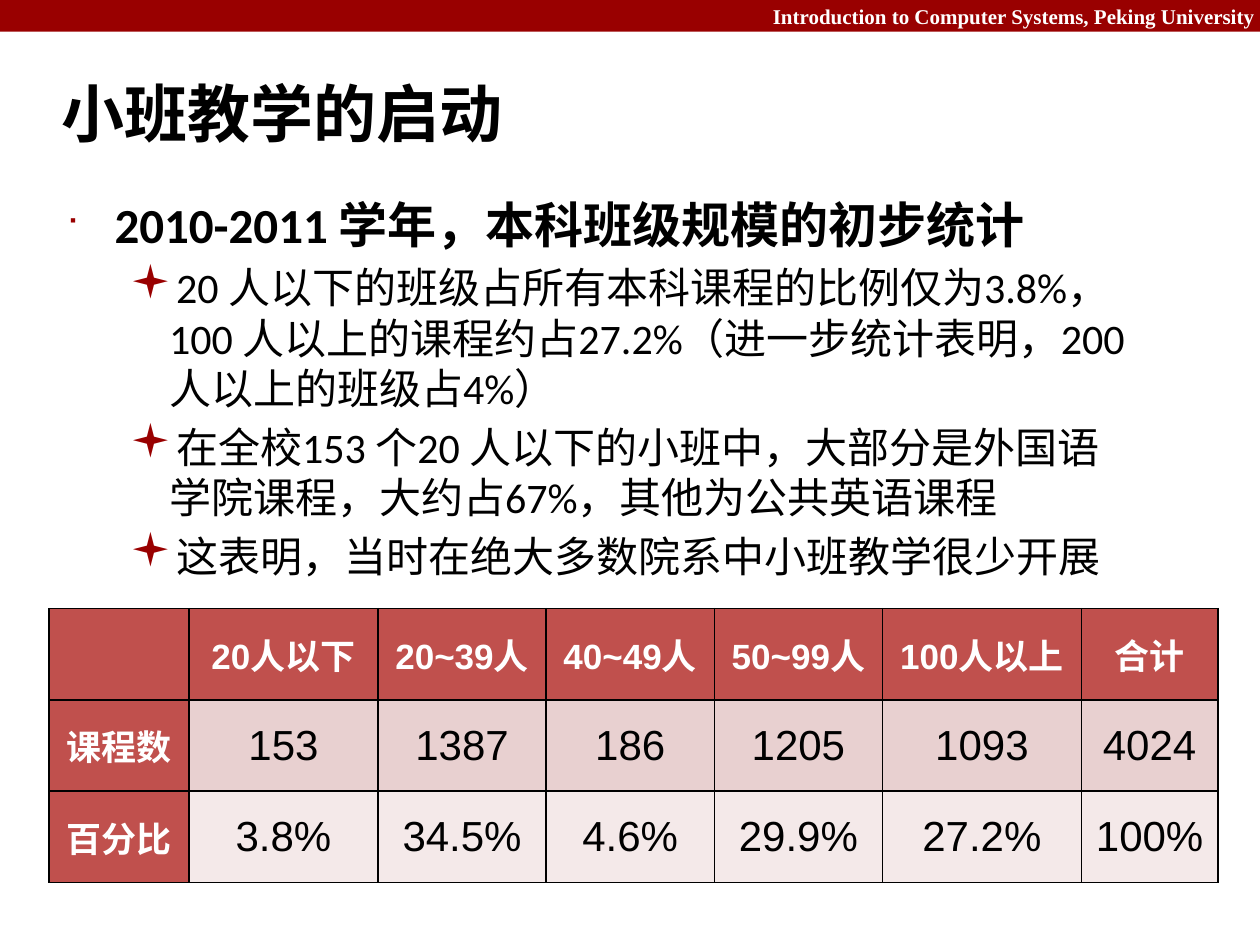
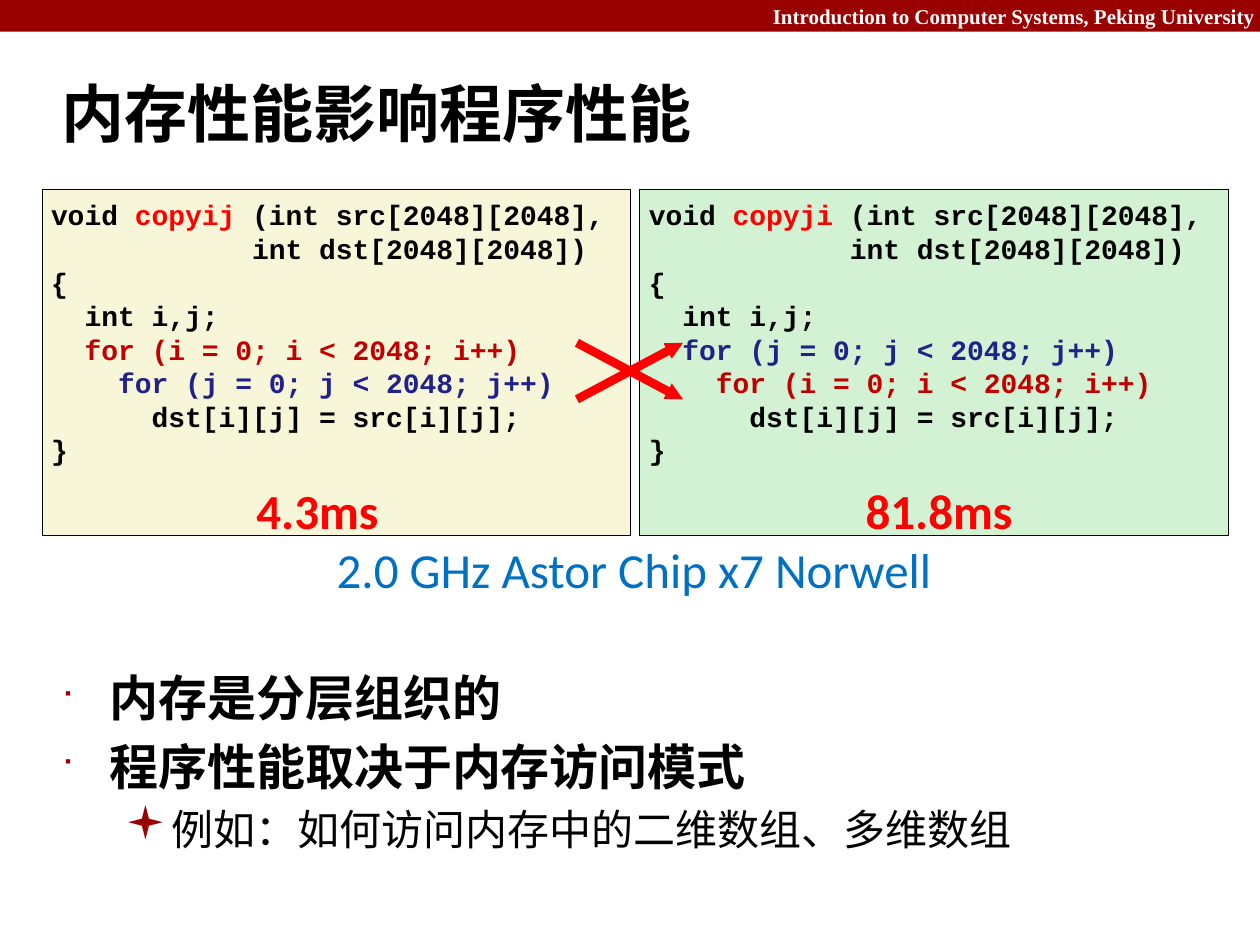
from lxml.etree import SubElement
from pptx import Presentation
from pptx.dml.color import RGBColor
from pptx.enum.shapes import MSO_CONNECTOR, MSO_SHAPE
from pptx.enum.text import MSO_ANCHOR, MSO_AUTO_SIZE, PP_ALIGN
from pptx.oxml.ns import qn
from pptx.util import Cm, Pt

BLACK, WHITE, RED, BLUE = "000000", "FFFFFF", "FF0000", "0070C0"
BAND = "990000"
TABLE_HEAD = "C0504D"
TABLE_ROWS = ["E8D0D0", "F4E9E9"]
LOOP_COLORS = {"i": "C00000", "j": "21218A"}
BULLETS = [
    {"char": "■", "percent": 60, "size": 28, "indent": 0.97, "hanging": 0.97, "bold": True},
    {"char": "▪", "percent": 110, "size": 24, "indent": 2.07, "hanging": 0.79, "bold": False},
]
CLASS_SIZES = [
    ["", "20人以下", "20~39人", "40~49人", "50~99人", "100人以上", "合计"],
    ["课程数", "153", "1387", "186", "1205", "1093", "4024"],
    ["百分比", "3.8%", "34.5%", "4.6%", "29.9%", "27.2%", "100%"],
]
COLUMN_WIDTHS = [2.82, 3.81, 3.39, 3.39, 3.39, 4.01, 2.75]
ROW_HEIGHT = 1.84


def rgb(value):
    """Turn a hex string into a colour."""
    return RGBColor.from_string(value)


def set_font(target, name, size, color, bold=False):
    """Format the font of a paragraph."""
    font = target.font
    font.name, font.size, font.bold = name, Pt(size), bold
    font.color.rgb = rgb(color)


def set_margins(frame, horizontal, vertical):
    """Set the insets of a text frame."""
    frame.margin_left = frame.margin_right = Cm(horizontal)
    frame.margin_top = frame.margin_bottom = Cm(vertical)


def add_text_frame(slide, left, top, width, height):
    """Add a wrapping text box and return its frame."""
    frame = slide.shapes.add_textbox(Cm(left), Cm(top), Cm(width), Cm(height)).text_frame
    frame.word_wrap = True
    return frame


def add_rectangle(slide, left, top, width, height, fill):
    """Add a flat rectangle without an outline."""
    rectangle = slide.shapes.add_shape(
        MSO_SHAPE.RECTANGLE, Cm(left), Cm(top), Cm(width), Cm(height))
    rectangle.shadow.inherit = False
    rectangle.fill.solid()
    rectangle.fill.fore_color.rgb = rgb(fill)
    rectangle.line.fill.background()
    return rectangle


def next_paragraph(frame, index):
    """Return the first paragraph of a frame or a new one."""
    return frame.add_paragraph() if index else frame.paragraphs[0]


def add_course_slide(deck, heading):
    """Add a slide with the course band and its title."""
    slide = deck.slides.add_slide(deck.slide_layouts[5])
    add_rectangle(slide, 0, 0, 25.4, 0.64, BAND)
    course = add_text_frame(slide, 15.24, 0, 10.16, 0.64)
    set_margins(course, 0.1, 0)
    course.vertical_anchor = MSO_ANCHOR.MIDDLE
    line = course.paragraphs[0]
    line.text = "Introduction to Computer Systems, Peking University"
    line.alignment = PP_ALIGN.RIGHT
    set_font(line, "Times New Roman", 12, WHITE, True)

    title = slide.shapes.title
    title.left, title.top, title.width, title.height = Cm(0.99), Cm(1.22), Cm(21.08), Cm(2.1)
    title.text_frame.text = heading
    title.text_frame.auto_size = MSO_AUTO_SIZE.NONE
    title.text_frame.vertical_anchor = MSO_ANCHOR.MIDDLE
    line = title.text_frame.paragraphs[0]
    line.alignment = PP_ALIGN.LEFT
    set_font(line, "Calibri", 36, BLACK, True)
    return slide


def add_bullets(slide, left, top, width, height, points):
    """Add bulleted points given as pairs of level and text."""
    frame = add_text_frame(slide, left, top, width, height)
    for index, (level, text) in enumerate(points):
        style = BULLETS[level]
        point = next_paragraph(frame, index)
        point.text = text
        point.level = level
        properties = point._p.get_or_add_pPr()
        properties.set("marL", str(Cm(style["indent"])))
        properties.set("indent", str(-Cm(style["hanging"])))
        SubElement(SubElement(properties, qn("a:buClr")), qn("a:srgbClr"), val=BAND)
        SubElement(properties, qn("a:buSzPct"), val=str(style["percent"] * 1000))
        SubElement(properties, qn("a:buFont"), typeface="Wingdings", charset="2")
        SubElement(properties, qn("a:buChar"), char=style["char"])
        if index:
            point.space_before = Pt(style["size"] * 0.2)
        set_font(point, "Calibri", style["size"], BLACK, style["bold"])


def add_cell_borders(cell):
    """Draw a thin black border around a cell."""
    properties = cell._tc.get_or_add_tcPr()
    for side in ("lnL", "lnR", "lnT", "lnB"):
        border = SubElement(properties, qn(f"a:{side}"), w=str(Pt(1)))
        SubElement(SubElement(border, qn("a:solidFill")), qn("a:srgbClr"), val=BLACK)


def add_class_table(slide, left, top):
    """Add the table of class sizes."""
    table = slide.shapes.add_table(
        len(CLASS_SIZES), len(COLUMN_WIDTHS), Cm(left), Cm(top),
        Cm(sum(COLUMN_WIDTHS)), Cm(ROW_HEIGHT * len(CLASS_SIZES))).table
    for column, width in zip(table.columns, COLUMN_WIDTHS):
        column.width = Cm(width)
    for r, values in enumerate(CLASS_SIZES):
        table.rows[r].height = Cm(ROW_HEIGHT)
        for c, value in enumerate(values):
            is_head = r == 0 or c == 0
            cell = table.cell(r, c)
            cell.text = value
            cell.vertical_anchor = MSO_ANCHOR.MIDDLE
            add_cell_borders(cell)
            cell.fill.solid()
            cell.fill.fore_color.rgb = rgb(TABLE_HEAD if is_head else TABLE_ROWS[r - 1])
            entry = cell.text_frame.paragraphs[0]
            entry.alignment = PP_ALIGN.CENTER
            set_font(entry, "Arial", 20 if is_head else 24,
                     WHITE if is_head else BLACK, is_head)


def loop_line(depth, variable):
    """Return the coloured pieces of one loop header."""
    header = f"for ({variable} = 0; {variable} < 2048; {variable}++)"
    return [("  " * depth, BLACK), (header, LOOP_COLORS[variable])]


def add_code_panel(slide, left, fill, function, outer, inner):
    """Add a panel with a copy function that nests two loops."""
    panel = add_rectangle(slide, left, 3.81, 11.86, 6.98, fill)
    panel.line.color.rgb = rgb(BLACK)
    panel.line.width = Pt(0.5)
    frame = panel.text_frame
    frame.word_wrap = True
    frame.vertical_anchor = MSO_ANCHOR.TOP
    set_margins(frame, 0.18, 0.18)
    code = [
        [("void ", BLACK), (f"{function} ", RED), ("(int src[2048][2048],", BLACK)],
        [("            int dst[2048][2048])", BLACK)],
        [("{", BLACK)],
        [("  int i,j;", BLACK)],
        loop_line(1, outer),
        loop_line(2, inner),
        [("      dst[i][j] = src[i][j];", BLACK)],
        [("}", BLACK)],
    ]
    for index, pieces in enumerate(code):
        line = next_paragraph(frame, index)
        line.alignment = PP_ALIGN.LEFT
        line.line_spacing = Pt(19.2)
        set_font(line, "Courier New", 16, BLACK, True)
        for text, color in pieces:
            run = line.add_run()
            run.text = text
            run.font.color.rgb = rgb(color)


def add_swap_arrow(slide, start_y, end_y):
    """Add a red arrow from the left loop to its place on the right."""
    arrow = slide.shapes.add_connector(
        MSO_CONNECTOR.STRAIGHT, Cm(11.63), Cm(start_y), Cm(13.77), Cm(end_y))
    arrow.line.color.rgb = rgb(RED)
    arrow.line.width = Pt(5)
    SubElement(arrow.line._get_or_add_ln(), qn("a:tailEnd"), type="triangle", w="sm", len="sm")
    SubElement(arrow._element.spPr, qn("a:effectLst"))


def add_centered_label(slide, center, top, width, text, color, bold=False):
    """Add one line of large text around a horizontal centre."""
    frame = add_text_frame(slide, center - width / 2, top, width, 1.4)
    set_margins(frame, 0.1, 0.1)
    label = frame.paragraphs[0]
    label.text = text
    label.alignment = PP_ALIGN.CENTER
    set_font(label, "Calibri", 28, color, bold)


def build_class_size_slide(deck):
    """Build the slide on the start of small classes."""
    slide = add_course_slide(deck, "小班教学的启动")
    add_bullets(slide, 1.09, 3.8, 21.95, 8.3, [
        (0, "2010-2011 学年，本科班级规模的初步统计"),
        (1, "20 人以下的班级占所有本科课程的比例仅为3.8%，100 人以上的课程约占27.2%"
            "（进一步统计表明，200 人以上的班级占4%）"),
        (1, "在全校153 个20 人以下的小班中，大部分是外国语学院课程，"
            "大约占67%，其他为公共英语课程"),
        (1, "这表明，当时在绝大多数院系中小班教学很少开展"),
    ])
    add_class_table(slide, 0.99, 12.27)


def build_memory_slide(deck):
    """Build the slide on memory performance."""
    slide = add_course_slide(deck, "内存性能影响程序性能")
    add_bullets(slide, 0.99, 13.34, 20.5, 5.28, [
        (0, "内存是分层组织的"),
        (0, "程序性能取决于内存访问模式"),
        (1, "例如：如何访问内存中的二维数组、多维数组"),
    ])
    add_code_panel(slide, 12.9, "D3F2D3", "copyji", "j", "i")
    add_code_panel(slide, 0.85, "F8F6D9", "copyij", "i", "j")
    outer_y, inner_y = 6.91, 8.05
    add_swap_arrow(slide, outer_y, inner_y)
    add_swap_arrow(slide, inner_y, outer_y)
    add_centered_label(slide, 6.4, 9.58, 5, "4.3ms", RED, True)
    add_centered_label(slide, 18.93, 9.58, 5, "81.8ms", RED, True)
    add_centered_label(slide, 12.78, 10.78, 15.7, "2.0 GHz Astor Chip x7 Norwell", BLUE)


def main():
    """Build and save the deck."""
    deck = Presentation()
    deck.slide_width, deck.slide_height = Cm(25.4), Cm(19.05)
    build_class_size_slide(deck)
    build_memory_slide(deck)
    deck.save("out.pptx")


if __name__ == "__main__":
    main()
